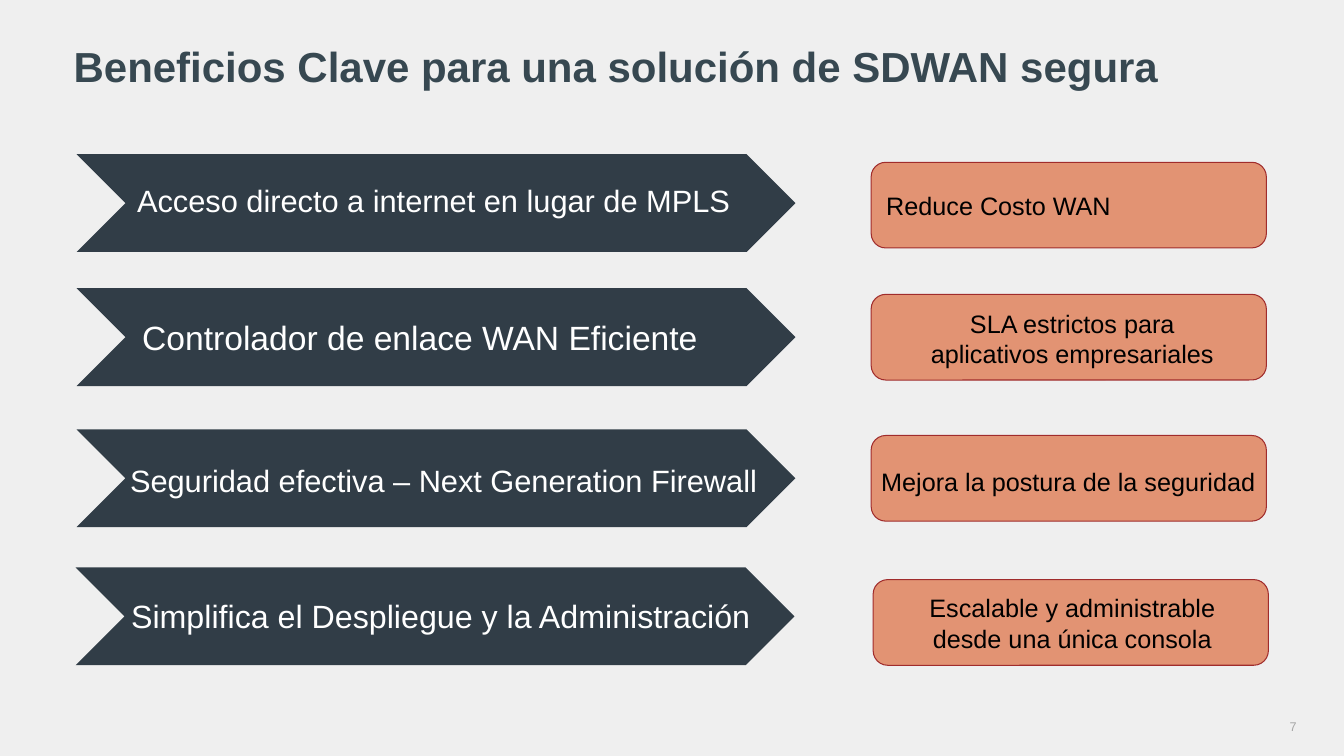
from dataclasses import dataclass

from pptx import Presentation
from pptx.dml.color import RGBColor
from pptx.enum.shapes import MSO_SHAPE
from pptx.enum.text import MSO_ANCHOR, PP_ALIGN
from pptx.util import Inches, Pt

CHEVRON = MSO_SHAPE.CHEVRON
ROUNDED = MSO_SHAPE.ROUNDED_RECTANGLE
LEFT, CENTER = PP_ALIGN.LEFT, PP_ALIGN.CENTER
TOP = MSO_ANCHOR.TOP

BACKGROUND = RGBColor(0xEF, 0xEF, 0xEF)
SLATE = RGBColor(0x31, 0x3D, 0x47)
TITLE_SLATE = RGBColor(0x37, 0x48, 0x51)
SALMON = RGBColor(0xE2, 0x93, 0x73)
BRICK = RGBColor(0xA0, 0x2C, 0x2C)
WHITE = RGBColor(0xFF, 0xFF, 0xFF)
BLACK = RGBColor(0x00, 0x00, 0x00)
GRAY = RGBColor(0xA6, 0xA6, 0xA6)
FONT = "Arial"


@dataclass
class Box:
    left: float
    top: float
    width: float
    height: float

    def inner(self, dx, dy, width, height):
        return Box(self.left + dx, self.top + dy, width, height)

    def lengths(self):
        return [Inches(v) for v in (self.left, self.top, self.width, self.height)]


@dataclass
class Label:
    text: str
    dx: float
    dy: float
    width: float
    height: float
    size: float = 18
    align: PP_ALIGN = LEFT


BENEFITS = [
    (Box(0.76, 1.53, 7.13, 0.97),
     Label("Acceso directo a internet en lugar de MPLS", 0.6, 0.27, 6.4, 0.38, 22),
     Box(8.64, 1.61, 3.92, 0.85),
     Label("Reduce Costo WAN", 0.15, 0.28, 3.7, 0.32)),
    (Box(0.76, 2.86, 7.13, 0.97),
     Label("Controlador de enlace WAN Eficiente", 0.65, 0.28, 6.02, 0.4, 24),
     Box(8.64, 2.92, 3.92, 0.85),
     Label("SLA estrictos para aplicativos empresariales",
           0.38, 0.14, 3.23, 0.62, align=CENTER)),
    (Box(0.76, 4.26, 7.13, 0.97),
     Label("Seguridad efectiva – Next Generation Firewall", 0.53, 0.32, 6.6, 0.38, 22),
     Box(8.64, 4.32, 3.92, 0.85),
     Label("Mejora la postura de la seguridad", 0.1, 0.31, 3.92, 0.32)),
    (Box(0.75, 5.63, 7.13, 0.97),
     Label("Simplifica el Despliegue y la Administración", 0.55, 0.29, 6.53, 0.4, 23),
     Box(8.66, 5.75, 3.92, 0.85),
     Label("Escalable y administrable desde una única consola",
           0.28, 0.13, 3.39, 0.62, align=CENTER)),
]


def style_font(paragraph, size, color, bold=False):
    font = paragraph.font
    font.name, font.size, font.bold = FONT, Pt(size), bold
    font.color.rgb = color


def add_label(slide, box, label, color):
    place = box.inner(label.dx, label.dy, label.width, label.height)
    frame = slide.shapes.add_textbox(*place.lengths()).text_frame
    frame.word_wrap = True
    frame.margin_left = frame.margin_right = 0
    frame.margin_top = frame.margin_bottom = 0
    paragraph = frame.paragraphs[0]
    paragraph.text = label.text
    paragraph.alignment = label.align
    style_font(paragraph, label.size, color)


def add_panel(slide, preset, box, adjustment, fill):
    panel = slide.shapes.add_shape(preset, *box.lengths())
    panel.adjustments[0] = adjustment
    panel.shadow.inherit = False
    panel.fill.solid()
    panel.fill.fore_color.rgb = fill
    return panel


def add_feature(slide, box, label):
    arrow = add_panel(slide, CHEVRON, box, 0.5, SLATE)
    arrow.line.fill.background()
    add_label(slide, box, label, WHITE)


def add_benefit(slide, box, label):
    card = add_panel(slide, ROUNDED, box, 0.17, SALMON)
    card.line.color.rgb = BRICK
    card.line.width = Pt(0.75)
    add_label(slide, box, label, BLACK)


def add_title(slide, box, text):
    title = slide.shapes.title
    title.left, title.top, title.width, title.height = box.lengths()
    frame = title.text_frame
    frame.vertical_anchor = TOP
    frame.word_wrap = True
    paragraph = frame.paragraphs[0]
    paragraph.text = text
    paragraph.alignment = LEFT
    paragraph.line_spacing = 0.94
    style_font(paragraph, 30, TITLE_SLATE, bold=True)


def main():
    deck = Presentation()
    deck.slide_width, deck.slide_height = Inches(13.33), Inches(7.5)
    slide = deck.slides.add_slide(deck.slide_layouts[5])
    slide.background.fill.solid()
    slide.background.fill.fore_color.rgb = BACKGROUND

    add_title(slide, Box(0.63, 0.39, 11.18, 0.59),
              "Beneficios Clave para una solución de SDWAN segura")
    for arrow_box, feature, card_box, benefit in BENEFITS:
        add_feature(slide, arrow_box, feature)
        add_benefit(slide, card_box, benefit)
    add_label(slide, Box(12.75, 7.13, 0.15, 0.17),
              Label("7", 0.04, 0, 0.11, 0.17, 9), GRAY)

    deck.save("out.pptx")


if __name__ == "__main__":
    main()
